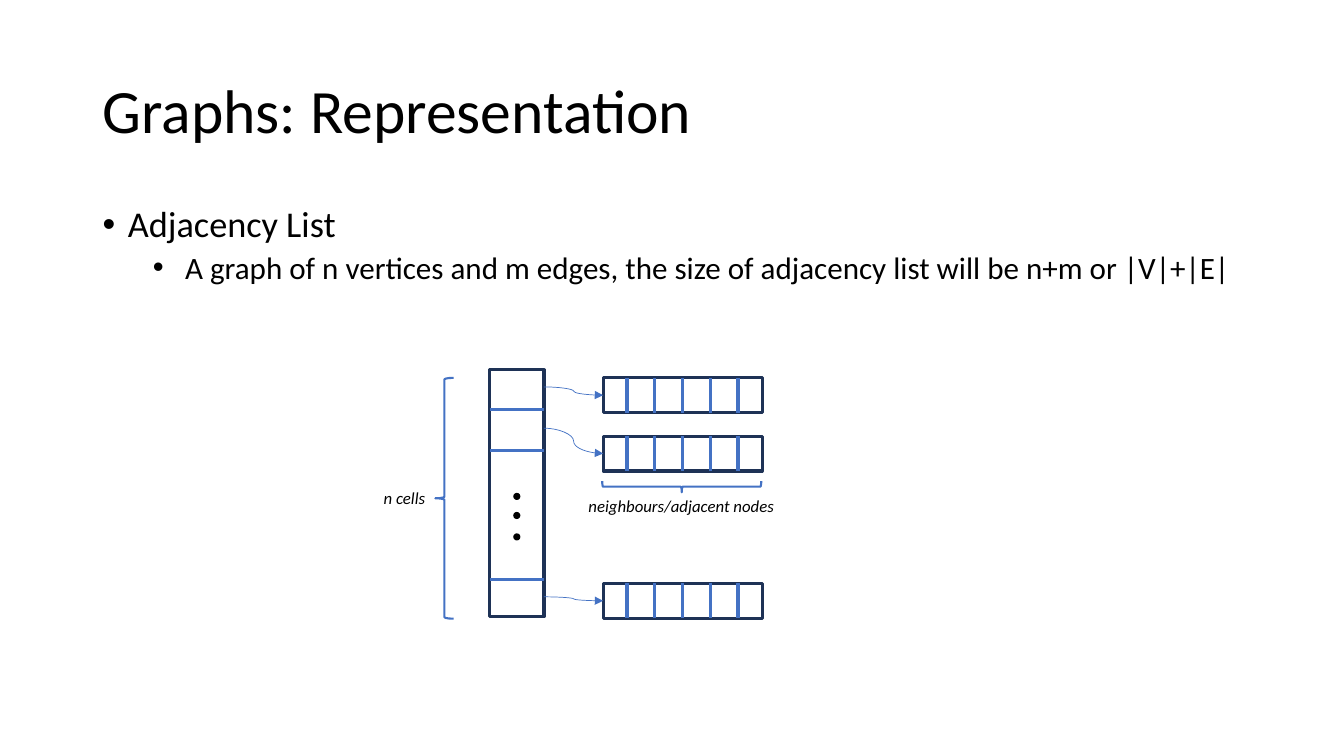
from lxml import etree
from pptx import Presentation
from pptx.dml.color import RGBColor
from pptx.enum.shapes import MSO_CONNECTOR as LINK, MSO_SHAPE as SHAPE
from pptx.enum.text import MSO_ANCHOR, MSO_AUTO_SIZE, PP_ALIGN
from pptx.oxml.ns import qn
from pptx.util import Cm, Pt

COLORS = {"ink": "000000", "frame": "1E3256", "accent": "4472C4"}
BULLETS = [
    dict(text="Adjacency List", level=0, size=25.9, before=0,
         margin=0.64, indent=-0.64),
    dict(text="A graph of n vertices and m edges, the size of adjacency list "
              "will be n+m or |V|+|E|", level=1, size=22.2, before=5,
         margin=2.08, indent=-0.81),
]
CELL_TOPS = (0.99, 2.03, 5.28)
DOT_TOPS = (3.1, 3.58, 4.12)
ROW_TOPS = (0.2, 1.67, 5.38)
ARROW_STARTS = (0.43, 1.47, 5.72)
ROW_HEIGHT = 0.88
FIRST_CELL, CELL_STEP, CELL_LINES = 0.6, 0.7, 5


def color(name):
    return RGBColor.from_string(COLORS[name])


def set_font(font, size, **formats):
    values = dict(name="Calibri", size=Pt(size), **formats)
    for attribute, value in values.items():
        setattr(font, attribute, value)
    font.color.rgb = color("ink")


def place(shape, box):
    for side, length in zip(("left", "top", "width", "height"), box):
        setattr(shape, side, Cm(length))


def add_outline(shapes, kind, box, line, weight):
    """Add an unfilled preset shape."""
    shape = shapes.add_shape(kind, *map(Cm, box))
    shape.shadow.inherit = False
    shape.fill.background()
    shape.line.color.rgb = color(line)
    shape.line.width = Pt(weight)
    return shape


def add_link(shapes, kind, start, end, weight):
    link = shapes.add_connector(kind, *map(Cm, start + end))
    link.line.color.rgb = color("accent")
    link.line.width = Pt(weight)
    etree.SubElement(link._element.spPr, qn("a:effectLst"))
    return link


def add_title(slide, box):
    title = slide.shapes.title
    place(title, box)
    frame = title.text_frame
    frame.text = "Graphs: Representation"
    frame.vertical_anchor = MSO_ANCHOR.MIDDLE
    frame.auto_size = MSO_AUTO_SIZE.NONE
    heading = frame.paragraphs[0]
    heading.alignment = PP_ALIGN.LEFT
    heading.line_spacing = 0.9
    set_font(heading.font, 44)


def add_bullets(slide, box):
    body = slide.placeholders[1]
    place(body, box)
    frame = body.text_frame
    frame.auto_size = MSO_AUTO_SIZE.NONE
    for index, item in enumerate(BULLETS):
        point = frame.add_paragraph() if index else frame.paragraphs[0]
        point.text = item["text"]
        point.level = item["level"]
        properties = point._p.get_or_add_pPr()
        properties.set("marL", str(Cm(item["margin"])))
        properties.set("indent", str(Cm(item["indent"])))
        etree.SubElement(properties, qn("a:buFont"), typeface="Arial")
        etree.SubElement(properties, qn("a:buChar"), char="•")
        point.line_spacing = 0.9
        point.space_before = Pt(item["before"])
        set_font(point.font, item["size"])


def add_vertex_column(slide, box):
    left, top, width, _ = box
    column = slide.shapes.add_group_shape().shapes
    add_outline(column, SHAPE.RECTANGLE, box, "frame", 2.25)
    for offset in CELL_TOPS:
        y = top + offset
        add_link(column, LINK.STRAIGHT, (left, y), (left + width, y), 2.25)
    size = 0.18
    for offset in DOT_TOPS:
        dot_box = (left + (width - size) / 2, top + offset, size, size)
        dot = add_outline(slide.shapes, SHAPE.OVAL, dot_box, "ink", 0.5)
        dot.fill.solid()
        dot.fill.fore_color.rgb = color("ink")
        dot.line.fill.background()


def add_neighbour_row(slide, box):
    """Add a divided row and return its frame."""
    left, top, _, height = box
    row = slide.shapes.add_group_shape().shapes
    frame = add_outline(row, SHAPE.RECTANGLE, box, "frame", 2.25)
    for index in range(CELL_LINES):
        x = left + FIRST_CELL + index * CELL_STEP
        divider = add_link(row, LINK.STRAIGHT, (x, top + height), (x, top), 2.25)
        if index == CELL_LINES // 2:
            divider.begin_connect(frame, 2)
            divider.end_connect(frame, 0)
    return frame


def add_arrow(slide, start, row, row_box):
    left, top, _, height = row_box
    arrow = add_link(slide.shapes, LINK.CURVE, start, (left, top + height / 2), 0.5)
    arrow.end_connect(row, 1)
    etree.SubElement(arrow.line._get_or_add_ln(), qn("a:tailEnd"), type="triangle")


def add_brace(slide, box, rotation):
    brace = add_outline(slide.shapes, SHAPE.RIGHT_BRACE, box, "accent", 1.5)
    brace.rotation = rotation


def add_label(slide, box, text):
    frame = slide.shapes.add_textbox(*map(Cm, box)).text_frame
    frame.text = text
    frame.word_wrap = False
    frame.auto_size = MSO_AUTO_SIZE.SHAPE_TO_FIT_TEXT
    set_font(frame.paragraphs[0].font, 12, italic=True)


def add_adjacency_diagram(slide, box):
    left, top, width, height = box
    column_left, column_width = left + 2.92, 1.37
    row_left, row_width = left + 5.78, 4.01
    add_vertex_column(slide, (column_left, top, column_width, height))
    for row_top, arrow_start in zip(ROW_TOPS, ARROW_STARTS):
        row_box = (row_left, top + row_top, row_width, ROW_HEIGHT)
        row = add_neighbour_row(slide, row_box)
        start = (column_left + column_width, top + arrow_start)
        add_arrow(slide, start, row, row_box)
    add_brace(slide, (left + 7.62, top + 0.94, 0.28, row_width), 90)
    add_label(slide, (left + 5.16, top + 3.05, 5.21, 0.76),
              "neighbours/adjacent nodes")
    add_brace(slide, (left + 1.55, top + 0.2, 0.46, 6.07), 180)
    add_label(slide, (left, top + 2.85, 1.57, 0.76), "n cells")


def main():
    deck = Presentation()
    deck.slide_width, deck.slide_height = Cm(33.87), Cm(19.05)
    slide = deck.slides.add_slide(deck.slide_layouts[1])
    add_title(slide, (2.33, 1.01, 29.21, 3.68))
    add_bullets(slide, (2.33, 5.07, 29.21, 2.92))
    add_adjacency_diagram(slide, (9.42, 9.32, 10.37, 6.22))
    deck.save("out.pptx")


if __name__ == "__main__":
    main()
